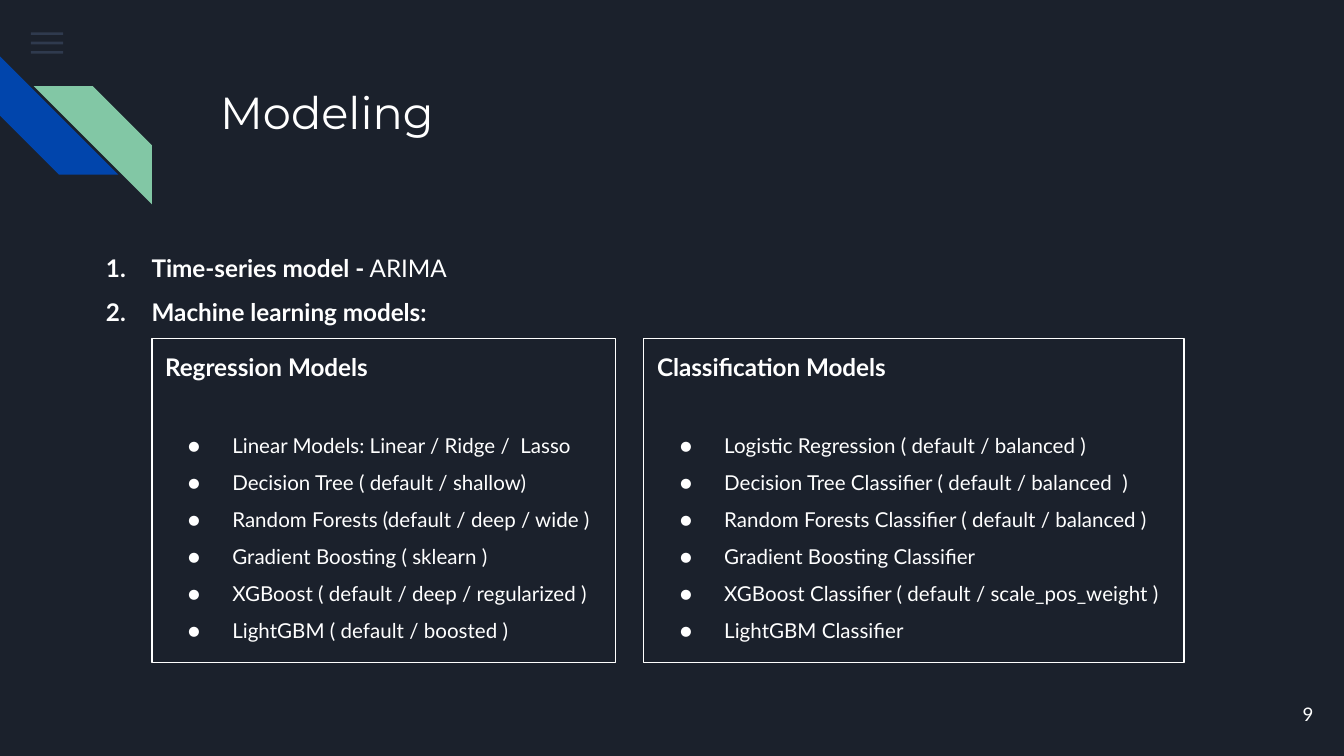
from dataclasses import dataclass
from lxml.etree import SubElement
from pptx import Presentation
from pptx.dml.color import RGBColor
from pptx.enum.shapes import MSO_SHAPE
from pptx.enum.text import MSO_ANCHOR, PP_ALIGN
from pptx.oxml.ns import qn
from pptx.util import Inches, Pt

TITLE = "Modeling"
STEPS = [
    ("Time-series model -", " ARIMA"),
    ("Machine learning models:", ""),
]
CARDS = [
    ("Regression Models", 3.45, [
        "Linear Models: Linear / Ridge /  Lasso",
        "Decision Tree ( default / shallow)",
        "Random Forests (default / deep / wide )",
        "Gradient Boosting ( sklearn )",
        "XGBoost ( default / deep / regularized )",
        "LightGBM ( default / boosted )",
    ]),
    ("Classification Models", 4.02, [
        "Logistic Regression ( default / balanced )",
        "Decision Tree Classifier ( default / balanced  )",
        "Random Forests Classifier ( default / balanced )",
        "Gradient Boosting Classifier",
        "XGBoost Classifier ( default / scale_pos_weight )",
        "LightGBM Classifier",
    ]),
]
PAGE = "9"


@dataclass(frozen=True)
class Theme:
    back: str = "1B212C"
    ink: str = "FFFFFF"
    bar: str = "55688B"
    blue: str = "0145AC"
    green: str = "82C7A5"
    head: str = "Montserrat"
    body: str = "Lato"
    big: float = 24
    mid: float = 13
    small: float = 11
    tiny: float = 10


T = Theme()
WIDE = 10
HIGH = WIDE * 9 / 16
LEFT, TOP, TALL, GAP = 1.13, 2.52, 2.41, 0.21
BAR_TOP, BAR_STEP = 0.24, 0.07
STRIPE = 0.88


def add_shape(slide, kind, box, fill):
    shape = slide.shapes.add_shape(kind, *map(Inches, box))
    shape.shadow.inherit = False
    shape.fill.solid()
    shape.fill.fore_color.rgb = RGBColor.from_string(fill)
    shape.line.fill.background()
    return shape


def set_frame(shape):
    frame = shape.text_frame
    frame.word_wrap = True
    frame.margin_left = frame.margin_right = Inches(0.1)
    frame.margin_top = frame.margin_bottom = Inches(0.1)
    frame.vertical_anchor = MSO_ANCHOR.TOP
    return frame


def add_text(slide, box):
    return set_frame(slide.shapes.add_textbox(*map(Inches, box)))


def style(para, size, bold=False, face=T.body, align=PP_ALIGN.LEFT):
    para.alignment = align
    for run in para.runs:
        font = run.font
        font.name, font.size, font.bold = face, Pt(size), bold
        font.color.rgb = RGBColor.from_string(T.ink)


def add_mark(para, tag, hang, **attrs):
    para.line_spacing = 1.5
    props = para._p.get_or_add_pPr()
    props.set("marL", str(Inches(0.5)))
    props.set("indent", str(-Inches(hang)))
    tint = SubElement(props, qn("a:buClr"))
    SubElement(tint, qn("a:srgbClr"), val=T.ink)
    SubElement(props, qn("a:buFont"), typeface=T.body)
    SubElement(props, qn(tag), **attrs)


def add_decor(slide):
    for row in range(3):
        box = (0.23, BAR_TOP + row * BAR_STEP, 0.24, 0.02)
        bar = add_shape(slide, MSO_SHAPE.RECTANGLE, box, T.bar)
        tint = bar._element.spPr.find(qn("a:solidFill"))[0]
        SubElement(tint, qn("a:alpha"), val="36000")
    for left, top, turn, fill in ((0, 0.42, 270, T.blue), (0.25, 0.64, 90, T.green)):
        band = add_shape(slide, MSO_SHAPE.DIAGONAL_STRIPE, (left, top, STRIPE, STRIPE), fill)
        band.adjustments[0] = 0.5
        band.rotation = turn


def add_steps(slide):
    frame = add_text(slide, (0.53, 1.68, 9.29, 0.84))
    for num, (name, note) in enumerate(STEPS):
        para = frame.add_paragraph() if num else frame.paragraphs[0]
        para.text = name
        add_mark(para, "a:buAutoNum", 0.34, type="arabicPeriod")
        if note:
            para.add_run().text = note
        style(para, T.mid, True)
        for run in para.runs[1:]:
            run.font.bold = False


def add_card(slide, left, width, name, items):
    card = add_shape(slide, MSO_SHAPE.RECTANGLE, (left, TOP, width, TALL), T.back)
    card.line.color.rgb = RGBColor.from_string(T.ink)
    card.line.width = Pt(0.75)
    frame = set_frame(card)
    frame.text = name
    style(frame.paragraphs[0], T.mid, True)
    for num, item in enumerate(items):
        para = frame.add_paragraph()
        para.text = item
        add_mark(para, "a:buChar", 0.33, char="●")
        para.space_before = Pt(0 if num else 21)
        style(para, T.small)


def main():
    deck = Presentation()
    deck.slide_width, deck.slide_height = Inches(WIDE), Inches(HIGH)
    slide = deck.slides.add_slide(deck.slide_layouts[6])
    slide.background.fill.solid()
    slide.background.fill.fore_color.rgb = RGBColor.from_string(T.back)
    add_decor(slide)

    title = add_text(slide, (1.54, 0.53, 7.7, 1))
    title.text = TITLE
    style(title.paragraphs[0], T.big, face=T.head)

    add_steps(slide)
    left = LEFT
    for name, width, items in CARDS:
        add_card(slide, left, width, name, items)
        left += width + GAP

    page = add_text(slide, (9.27, 5.1, 0.6, 0.43))
    page.text = PAGE
    page.vertical_anchor = MSO_ANCHOR.MIDDLE
    style(page.paragraphs[0], T.tiny, align=PP_ALIGN.RIGHT)
    deck.save("out.pptx")


if __name__ == "__main__":
    main()
